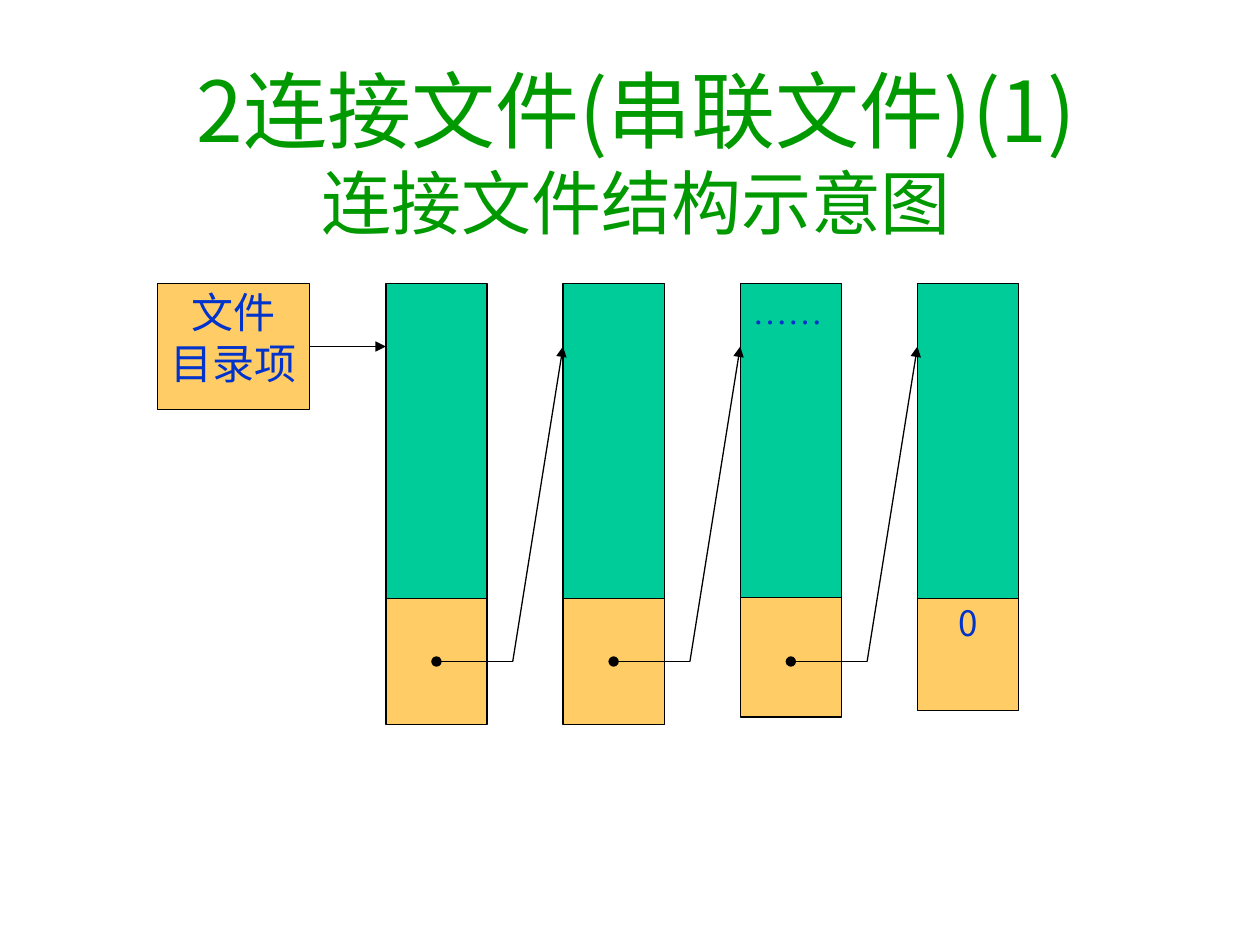
import pptx
import pptx.util
from lxml import etree
from pptx.dml.color import RGBColor
from pptx.enum.shapes import MSO_CONNECTOR, MSO_SHAPE
from pptx.enum.text import MSO_ANCHOR, PP_ALIGN
from pptx.oxml.ns import qn

Pt = pptx.util.Pt

TITLE_GREEN = RGBColor(0x00, 0x99, 0x00)
TEXT_BLUE = RGBColor(0x00, 0x33, 0xCC)
DATA_TEAL = RGBColor(0x00, 0xCC, 0x99)
POINTER_ORANGE = RGBColor(0xFF, 0xCC, 0x66)
BLACK = RGBColor(0x00, 0x00, 0x00)

SANS = "Noto Sans CJK JP"
SERIF = "Times New Roman"

FIRST_LEFT, PITCH, BLOCK_WIDTH = 220.5, 101.25, 57.8
TOP, DATA_HEIGHT = 162, 180
ENTRY_Y, POINTER_Y = 198, 378
# data height, pointer top, pointer height, data text, pointer text
BLOCKS = [
    (DATA_HEIGHT, 342, 72, "", ""),
    (DATA_HEIGHT, 342, 72, "", ""),
    (179.3, 337.8, 72, "……", ""),
    (DATA_HEIGHT, 342, 64, "", "0"),
]


class Diagram:
    line_width = 0.75
    line_ratio = 1.2

    def __init__(self, slide):
        self.slide = slide

    def fill_text(self, frame, lines, color, font=SANS, align=PP_ALIGN.CENTER,
                  insets=(0, 2, 0, 0), anchor=MSO_ANCHOR.TOP):
        """Fill a text frame with (text, size) lines; insets are left, top, right, bottom."""
        left, top, right, bottom = map(Pt, insets)
        layout = {"word_wrap": True, "vertical_anchor": anchor,
                  "margin_left": left, "margin_top": top,
                  "margin_right": right, "margin_bottom": bottom}
        for key, value in layout.items():
            setattr(frame, key, value)
        for index, (text, size) in enumerate(lines):
            paragraph = frame.add_paragraph() if index else frame.paragraphs[0]
            paragraph.alignment = align
            paragraph.line_spacing = Pt(size * self.line_ratio)
            run = paragraph.add_run()
            run.text = text
            for key, value in {"name": font, "size": Pt(size)}.items():
                setattr(run.font, key, value)
            run.font.color.rgb = color
            east_asian = etree.SubElement(run.font._element, qn("a:ea"))
            east_asian.set("typeface", font)

    def title(self, left, top, width, height, lines):
        heading = self.slide.shapes.add_textbox(Pt(left), Pt(top), Pt(width), Pt(height))
        self.fill_text(heading.text_frame, lines, TITLE_GREEN,
                       insets=(0, 0, 0, 23), anchor=MSO_ANCHOR.BOTTOM)

    def block(self, left, top, width, height, fill, lines=(), **text_format):
        block = self.slide.shapes.add_shape(
            MSO_SHAPE.RECTANGLE, Pt(left), Pt(top), Pt(width), Pt(height))
        block.shadow.inherit = False
        block.fill.solid()
        block.fill.fore_color.rgb = fill
        block.line.color.rgb = BLACK
        block.line.width = Pt(self.line_width)
        if lines:
            self.fill_text(block.text_frame, lines, TEXT_BLUE, **text_format)

    def link(self, start, end, **ends):
        """Draw a line; ends maps headEnd or tailEnd to an arrowhead type."""
        link = self.slide.shapes.add_connector(
            MSO_CONNECTOR.STRAIGHT, *map(Pt, start + end))
        link.line.color.rgb = BLACK
        link.line.width = Pt(self.line_width)
        for tag, kind in ends.items():
            etree.SubElement(link.line._get_or_add_ln(), qn(f"a:{tag}")).set("type", kind)
        etree.SubElement(link._element.spPr, qn("a:effectLst"))


def main():
    deck = pptx.Presentation()
    deck.slide_width, deck.slide_height = Pt(720), Pt(540)
    diagram = Diagram(deck.slides.add_slide(deck.slide_layouts[6]))

    diagram.title(25.2, 51.84, 676.8, 110.16,
                  [("2连接文件(串联文件)(1)", 48), ("连接文件结构示意图", 40)])
    diagram.block(90, TOP, 86.7, 72, POINTER_ORANGE, [("文件", 24), ("目录项", 24)])

    lefts = [FIRST_LEFT + PITCH * column for column in range(len(BLOCKS))]
    for left, (data_height, pointer_top, pointer_height, data, pointer) in zip(lefts, BLOCKS):
        diagram.block(left, pointer_top, BLOCK_WIDTH, pointer_height, POINTER_ORANGE,
                      [(pointer, 20)] if pointer else ())
        diagram.block(left, TOP, BLOCK_WIDTH, data_height, DATA_TEAL,
                      [(data, 20)] if data else (), font=SERIF,
                      align=PP_ALIGN.JUSTIFY, insets=(7.2, 3.6, 7.2, 3.6))

    diagram.link((176.7, ENTRY_Y), (FIRST_LEFT, ENTRY_Y), tailEnd="triangle")
    for left, next_left in zip(lefts, lefts[1:]):
        bend = (left + 72.5, POINTER_Y)
        diagram.link((left + BLOCK_WIDTH / 2, POINTER_Y), bend, headEnd="oval")
        diagram.link(bend, (next_left, ENTRY_Y), tailEnd="triangle")

    deck.save("out.pptx")


if __name__ == "__main__":
    main()
